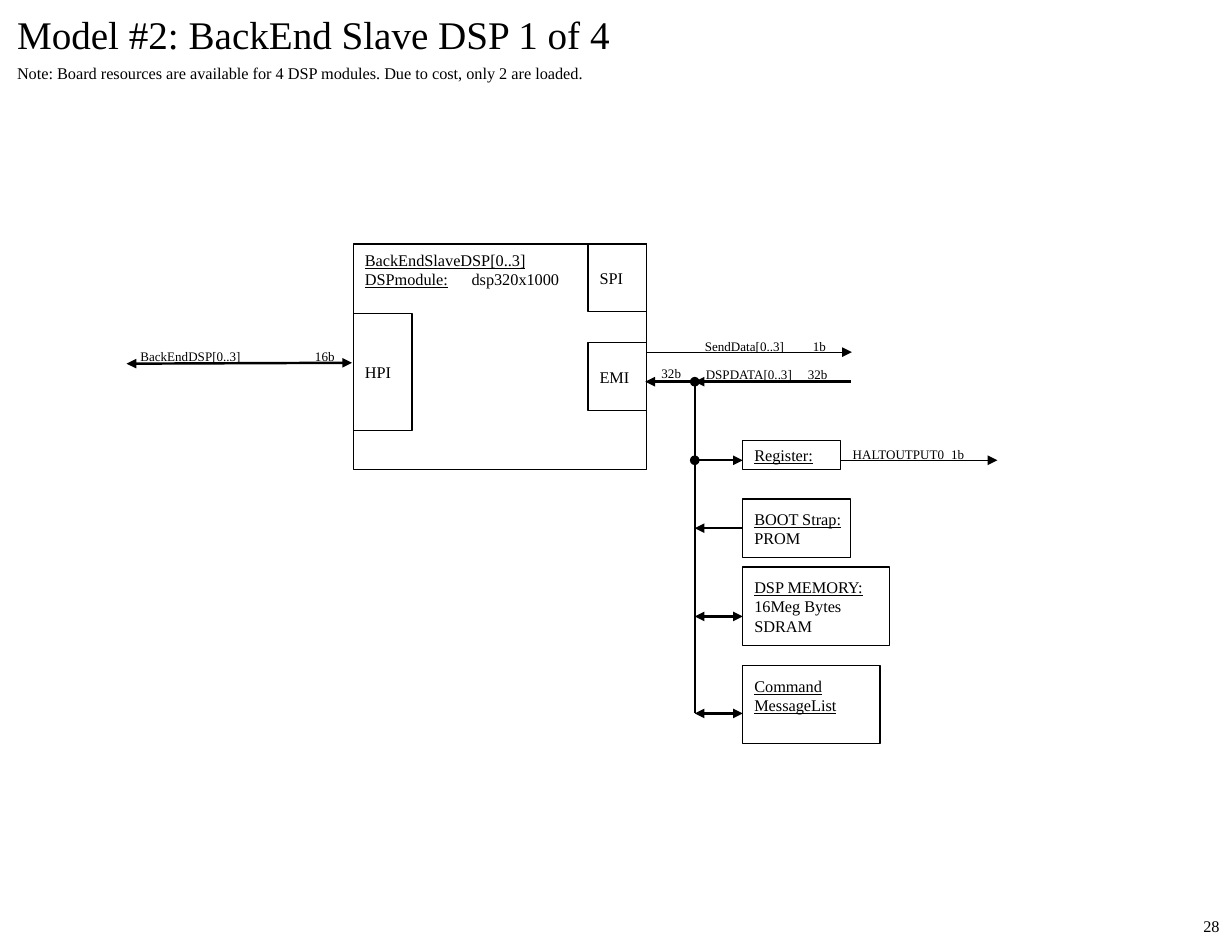
from dataclasses import dataclass
from lxml.etree import SubElement
from pptx import Presentation
from pptx.dml.color import RGBColor as RGB
from pptx.enum.shapes import MSO_CONNECTOR as LINK, MSO_SHAPE as SHAPE
from pptx.enum.text import MSO_ANCHOR as ANCHOR, PP_ALIGN as ALIGN
from pptx.oxml.ns import qn
from pptx.util import Cm, Pt


@dataclass(frozen=True)
class Theme:
    font: str = "Times New Roman"
    ink: RGB = RGB(0, 0, 0)
    title: int = 24
    body: int = 10
    small: int = 8
    thin: float = 0.75
    thick: float = 1.5


THEME = Theme()
BUS, PART = 15.04, 16.08  # x of the data bus and of the parts it feeds
DATA, END = 8.26, 15.44   # top and bottom of the bus


def style(run, size, under=False):
    font = run.font
    font.name, font.size, font.underline = THEME.font, Pt(size), under
    font.color.rgb = THEME.ink


def write(frame, text, size, heads=0, tab=None, align=ALIGN.LEFT):
    """Fill a frame; the first `heads` lines are underlined up to their tab."""
    frame.text = text
    for row, para in enumerate(frame.paragraphs):
        para.alignment = align
        if tab and "\t" in para.text:
            stops = SubElement(para._p.get_or_add_pPr(), qn("a:tabLst"))
            SubElement(stops, qn("a:tab"), pos=str(Cm(tab)), algn="l")
        if row < heads:
            head, gap, rest = para.text.partition("\t")
            para.runs[0].text = head
            if rest:
                para.add_run().text = gap + rest
        for spot, run in enumerate(para.runs):
            style(run, size, row < heads and spot == 0)


def pad(frame, side, top=0.13):
    frame.margin_left = frame.margin_right = Cm(side)
    frame.margin_top, frame.margin_bottom = Cm(top), Cm(0.13)


def label(slide, area, text, size, tab=None, anchor=ANCHOR.TOP,
          align=ALIGN.LEFT):
    frame = slide.shapes.add_textbox(*map(Cm, area)).text_frame
    frame.word_wrap = True
    frame.vertical_anchor = anchor
    pad(frame, 0.27)
    write(frame, text, size, tab=tab, align=align)


def block(slide, area, text, heads=0, tab=None, anchor=ANCHOR.MIDDLE,
          top=0.13):
    box = slide.shapes.add_shape(SHAPE.RECTANGLE, *map(Cm, area))
    box.shadow.inherit = False
    box.fill.background()
    box.line.color.rgb = THEME.ink
    box.line.width = Pt(THEME.thin)
    frame = box.text_frame
    frame.word_wrap = False
    frame.vertical_anchor = anchor
    pad(frame, 0.25, top)
    write(frame, text, THEME.body, heads, tab)


def wire(slide, start, end, width, head=None, tail=None):
    """Draw a line; head is the mark at its start, tail the one at its end."""
    link = slide.shapes.add_connector(LINK.STRAIGHT, *map(Cm, start + end))
    link.line.color.rgb = THEME.ink
    link.line.width = Pt(width)
    for tag, mark in (("a:headEnd", head), ("a:tailEnd", tail)):
        if mark:
            SubElement(link.line._get_or_add_ln(), qn(tag), type=mark)
    SubElement(link._element.spPr, qn("a:effectLst"))


def main():
    deck = Presentation()
    deck.slide_width, deck.slide_height = Cm(26.67), Cm(20.32)
    slide = deck.slides.add_slide(deck.slide_layouts[6])

    label(slide, (0.1, 0, 23.83, 1.47), "Model #2: BackEnd Slave DSP 1 of 4",
          THEME.title, anchor=ANCHOR.MIDDLE)
    label(slide, (0.1, 1.27, 23.83, 0.64),
          "Note: Board resources are available for 4 DSP modules. "
          "Due to cost, only 2 are loaded.",
          THEME.body, anchor=ANCHOR.MIDDLE)
    label(slide, (23.29, 19.69, 3.38, 0.64), "28", THEME.body,
          align=ALIGN.RIGHT)

    # The processor and its ports
    block(slide, (7.65, 5.28, 6.35, 4.88),
          "BackEndSlaveDSP[0..3]\nDSPmodule:\tdsp320x1000", 2, 2.31,
          ANCHOR.TOP)
    block(slide, (7.65, 6.78, 1.27, 2.54), "HPI")
    block(slide, (12.73, 7.42, 1.27, 1.47), "EMI")
    block(slide, (12.73, 5.28, 1.27, 1.47), "SPI")

    # Parts on the bus
    block(slide, (PART, 9.53, 2.11, 0.64), "Register:", 1)
    block(slide, (PART, 10.8, 2.34, 1.27), "BOOT Strap:\nPROM", 1)
    block(slide, (PART, 12.27, 3.18, 1.7),
          "DSP MEMORY:\n16Meg Bytes\nSDRAM", 1)
    block(slide, (PART, 14.4, 2.97, 1.7), "Command\nMessageList", 2,
          anchor=ANCHOR.TOP, top=0.23)

    # The bus and its branches
    wire(slide, (BUS, DATA), (BUS, END), THEME.thick)
    for y, head, tail in (
        (9.96, "oval", "triangle"),
        (11.43, "triangle", None),
        (13.34, "triangle", "triangle"),
        (END, "triangle", "triangle"),
    ):
        wire(slide, (BUS, y), (PART, y), THEME.thick, head, tail)

    # Signals
    for start, end, width, head, tail in (
        ((2.74, 7.87), (7.62, 7.85), THEME.thick, "triangle", "triangle"),
        ((13.97, DATA), (BUS, DATA), THEME.thick, "triangle", "oval"),
        ((18.42, DATA), (BUS, DATA), THEME.thick, None, "triangle"),
        ((21.59, 9.96), (18.21, 9.96), THEME.thin, "triangle", None),
        ((18.44, 7.62), (14, 7.62), THEME.thin, "triangle", None),
    ):
        wire(slide, start, end, width, head, tail)
    for x, y, width, text, tab in (
        (2.77, 7.42, 4.78, "BackEndDSP[0..3]\t16b", 3.78),
        (14.05, 7.77, 1.19, "32b", None),
        (15.01, 7.8, 3.25, "DSPDATA[0..3]\t32b", 2.21),
        (18.19, 9.53, 2.97, "HALTOUTPUT0\t1b", 2.13),
        (14.99, 7.19, 3.18, "SendData[0..3]\t1b", 2.34),
    ):
        label(slide, (x, y, width, 0.61), text, THEME.small, tab)

    deck.save("out.pptx")


if __name__ == "__main__":
    main()
